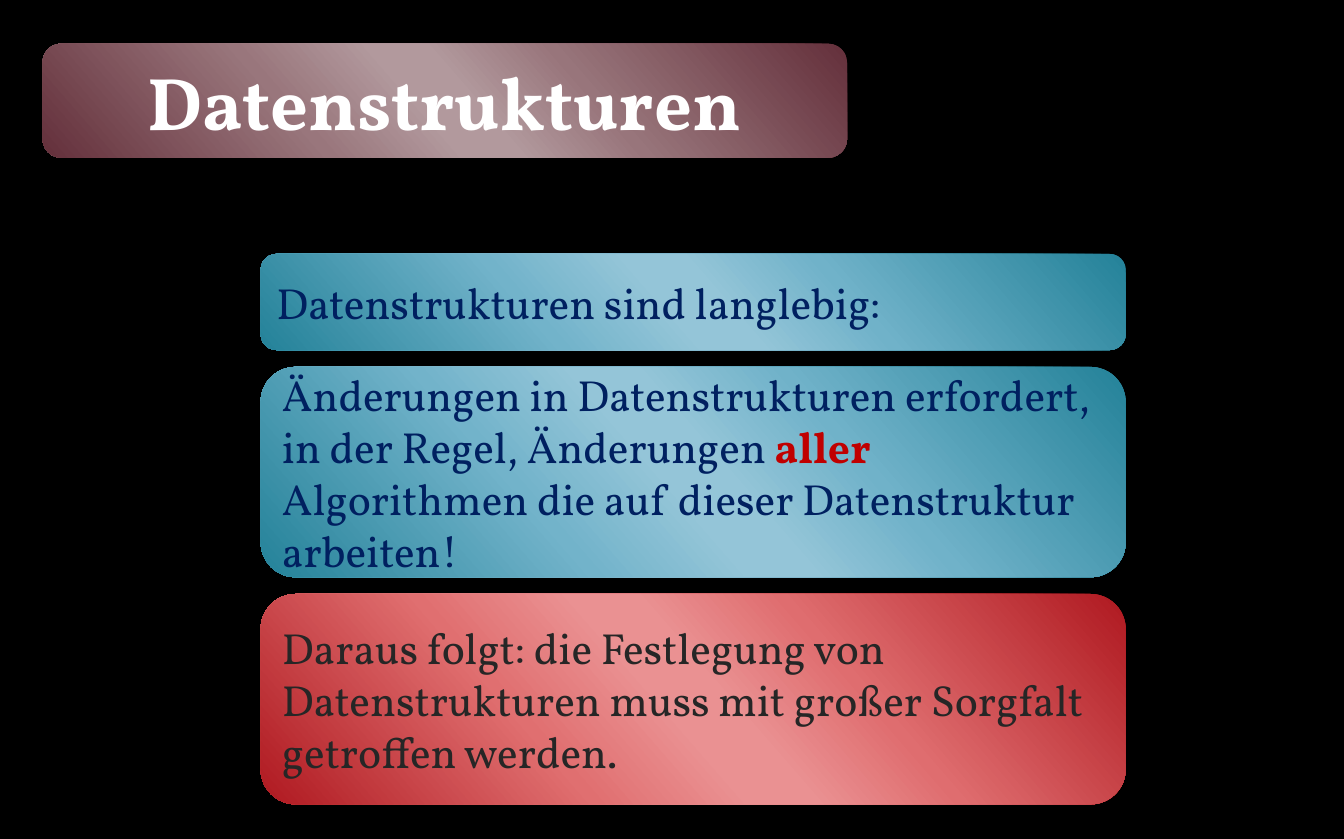
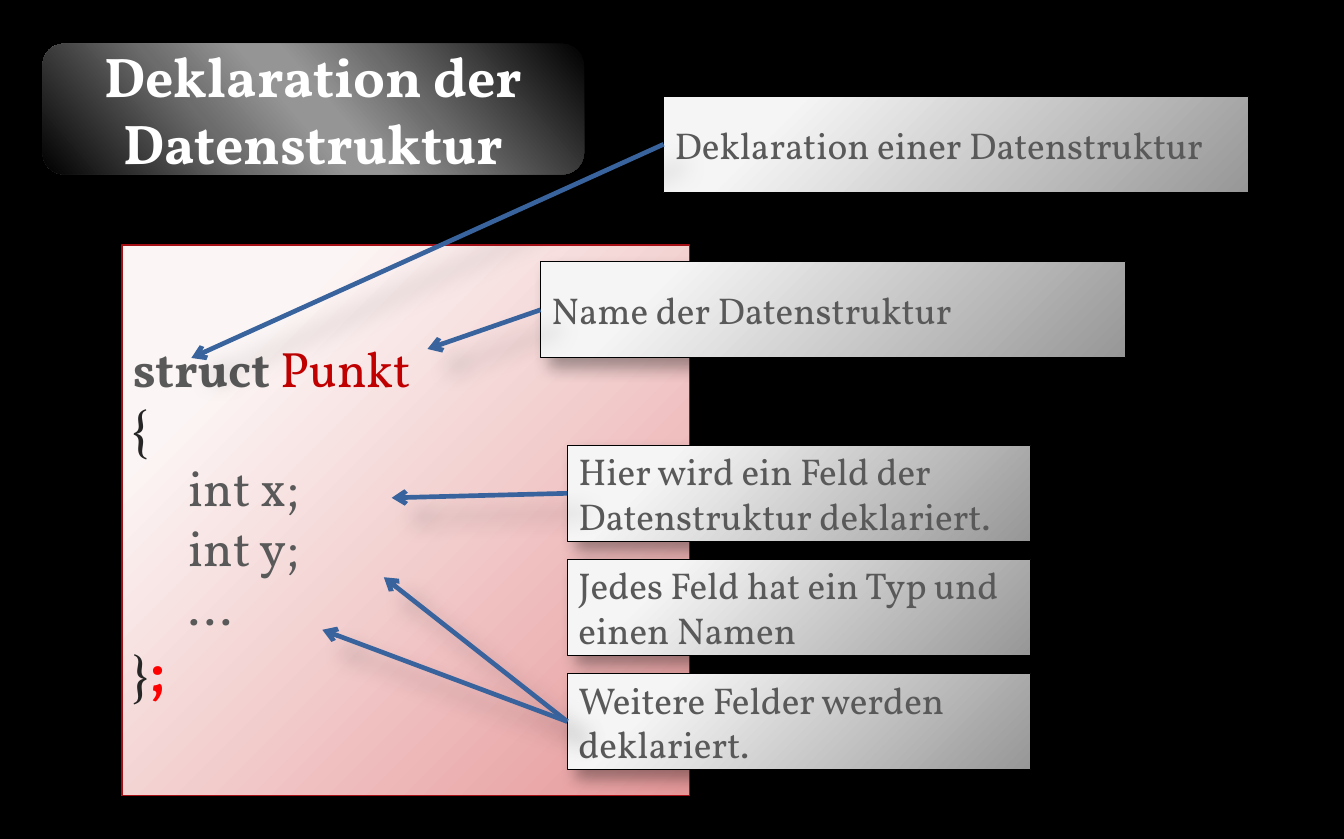
import pptx
import pptx.dml.color
import pptx.enum.shapes
import pptx.enum.text
import pptx.oxml
import pptx.oxml.ns
import pptx.util

Inches = pptx.util.Inches
SHAPES = pptx.enum.shapes.MSO_SHAPE
ALIGN = pptx.enum.text.PP_ALIGN

COLORS = {
    "background": "000000",
    "white": "FFFFFF",
    "navy": "002060",
    "dark": "262626",
    "gray": "595959",
    "strong": "C00000",
    "red": "FF0000",
    "arrow": "39639D",
    "code border": "A51017",
    "callout border": "000000",
}

BAND_STOPS = (0, 33, 47, 53, 68, 100)
BANDS = {
    "wine": ("64303B", "98757B", "B2999D", "B2999D", "99767C", "64303B"),
    "blue": ("248299", "70B2C9", "94C5D8", "94C5D8", "72B3CA", "248299"),
    "red": ("AF1920", "DF6D6F", "EA9192", "EA9192", "E06F70", "AF1920"),
    "black": ("000000", "6B6B6B", "959595", "959595", "6C6C6C", "000000"),
}
GLOW_STOPS = (20, 100)
GLOWS = {"rose": ("FCF5F5", "E69899"), "silver": ("F5F5F5", "979797")}

BAND_DIRECTION = '<a:lin ang="8340000" scaled="0"/>'
GLOW_DIRECTION = (
    '<a:path path="circle"><a:fillToRect l="-15000" t="-15000" r="115000" b="115000"/></a:path>'
)
DEEP_SHADOW = {"opacity": 26, "blur": 15, "distance": 18}
NEAR_SHADOW = {"opacity": 35, "blur": 10.2, "distance": 8}


def rgb(name):
    return pptx.dml.color.RGBColor.from_string(COLORS[name])


def drawing_xml(tag, content):
    namespace = pptx.oxml.ns.nsdecls("a")
    return pptx.oxml.parse_xml(f"<a:{tag} {namespace}>{content}</a:{tag}>")


def add_text(paragraph, text, color="gray", size=24, bold=False):
    run = paragraph.add_run()
    run.text = text
    run.font.name = "Vollkorn"
    run.font.size = pptx.util.Pt(size)
    run.font.bold = bold
    run.font.color.rgb = rgb(color)


def set_gradient(shape, stops, colors, direction):
    shape.fill.background()
    entries = "".join(
        f'<a:gs pos="{stop * 1000}"><a:srgbClr val="{color}"/></a:gs>'
        for stop, color in zip(stops, colors)
    )
    properties = shape._element.spPr
    no_fill = properties.find(pptx.oxml.ns.qn("a:noFill"))
    gradient = drawing_xml("gradFill", f"<a:gsLst>{entries}</a:gsLst>{direction}")
    properties.replace(no_fill, gradient)


def set_shadow(shape, opacity, blur, distance):
    blur_radius, offset = (int(pptx.util.Pt(value)) for value in (blur, distance))
    shadow = (
        f'<a:outerShdw blurRad="{blur_radius}" dist="{offset}" dir="2700000" algn="tl" '
        f'rotWithShape="0"><a:srgbClr val="000000"><a:alpha val="{opacity * 1000}"/>'
        "</a:srgbClr></a:outerShdw>"
    )
    shape._element.spPr.append(drawing_xml("effectLst", shadow))


class Deck:
    def __init__(self):
        self.presentation = pptx.Presentation()
        self.presentation.slide_width = Inches(12.01)
        self.presentation.slide_height = Inches(7.5)
        self.slide = None

    def new_slide(self):
        self.slide = self.presentation.slides.add_slide(self.presentation.slide_layouts[6])
        self.slide.background.fill.solid()
        self.slide.background.fill.fore_color.rgb = rgb("background")

    def box(self, kind, left, top, width, height, paragraphs, align=ALIGN.LEFT):
        shape = self.slide.shapes.add_shape(
            kind, Inches(left), Inches(top), Inches(width), Inches(height)
        )
        frame = shape.text_frame
        frame.word_wrap = True
        frame.vertical_anchor = pptx.enum.text.MSO_ANCHOR.MIDDLE
        for index, runs in enumerate(paragraphs):
            paragraph = frame.add_paragraph() if index else frame.paragraphs[0]
            paragraph.alignment = align
            for text, style in runs:
                add_text(paragraph, text, **style)
        return shape

    def panel(self, left, top, width, height, paragraphs, band, align=ALIGN.LEFT):
        shape = self.box(
            SHAPES.ROUNDED_RECTANGLE, left, top, width, height, paragraphs, align
        )
        set_gradient(shape, BAND_STOPS, BANDS[band], BAND_DIRECTION)
        shape.line.fill.background()
        set_shadow(shape, **DEEP_SHADOW)

    def title(self, text, width, height, size, band):
        style = {"color": "white", "size": size, "bold": True}
        self.panel(0.38, 0.39, width, height, [[(text, style)]], band, ALIGN.CENTER)

    def card(self, left, top, width, height, paragraphs, glow, border):
        shape = self.box(SHAPES.RECTANGLE, left, top, width, height, paragraphs)
        set_gradient(shape, GLOW_STOPS, GLOWS[glow], GLOW_DIRECTION)
        shape.line.color.rgb = rgb(border)
        shape.line.width = pptx.util.Pt(0.75)
        set_shadow(shape, **NEAR_SHADOW)
        return shape

    def callout(self, text, left, top, width, targets=()):
        shape = self.card(
            left, top, width, 0.86, [[(text, {})]], "silver", "callout border"
        )
        for target in targets:
            self.arrow(shape, *target)

    def arrow(self, source, x, y):
        connector = self.slide.shapes.add_connector(
            pptx.enum.shapes.MSO_CONNECTOR.STRAIGHT,
            source.left, source.top, Inches(x), Inches(y),
        )
        connector.begin_connect(source, 1)
        connector.line.color.rgb = rgb("arrow")
        connector.line.width = pptx.util.Pt(3)
        connector.line._get_or_add_ln().append(
            pptx.oxml.parse_xml(f'<a:tailEnd {pptx.oxml.ns.nsdecls("a")} type="arrow"/>')
        )
        set_shadow(connector, **DEEP_SHADOW)


def build_properties_slide(deck):
    deck.new_slide()
    deck.title("Datenstrukturen", 7.19, 1.02, 48, "wine")
    body = {"color": "navy", "size": 28}
    strong = {"color": "strong", "size": 28, "bold": True}
    conclusion = {"color": "dark", "size": 28}
    panels = [
        (0.86, "blue", [("Datenstrukturen sind langlebig:", body)]),
        (1.88, "blue", [
            ("Änderungen in Datenstrukturen erfordert, in der Regel, Änderungen ", body),
            ("aller ", strong),
            ("Algorithmen die auf dieser Datenstruktur arbeiten!", body),
        ]),
        (1.88, "red", [
            ("Daraus folgt: die Festlegung von Datenstrukturen muss mit großer "
             "Sorgfalt getroffen werden.", conclusion),
        ]),
    ]
    top = 2.27
    for height, band, runs in panels:
        deck.panel(2.33, top, 7.73, height, [runs], band)
        top += height + 0.15


def build_declaration_slide(deck):
    deck.new_slide()
    deck.title("Deklaration der Datenstruktur", 4.84, 1.17, 36, "black")
    field = {"size": 32}
    brace = {"color": "dark", "size": 32}
    code = [
        [("struct ", {"size": 32, "bold": True}), ("Punkt", {"color": "strong", "size": 32})],
        [("{", brace)],
        [("\tint x;", field)],
        [("\tint y;", field)],
        [("\t...", field)],
        [("}", brace), (";", {"color": "red", "size": 36, "bold": True})],
    ]
    deck.card(1.09, 2.19, 5.07, 4.92, code, "rose", "code border")
    deck.callout("Deklaration einer Datenstruktur", 5.93, 0.86, 5.23, [(1.71, 3.2)])
    deck.callout("Name der Datenstruktur", 4.83, 2.34, 5.23, [(3.82, 3.12)])
    field_notes = [
        ("Hier wird ein Feld der Datenstruktur deklariert.", [(3.5, 4.45)]),
        ("Jedes Feld hat ein Typ und einen Namen", []),
        ("Weitere Felder werden deklariert.", [(3.43, 5.16), (2.88, 5.63)]),
    ]
    for row, (text, targets) in enumerate(field_notes):
        deck.callout(text, 5.07, 3.98 + row * 1.02, 4.14, targets)


def main():
    deck = Deck()
    build_properties_slide(deck)
    build_declaration_slide(deck)
    deck.presentation.save("out.pptx")


if __name__ == "__main__":
    main()
